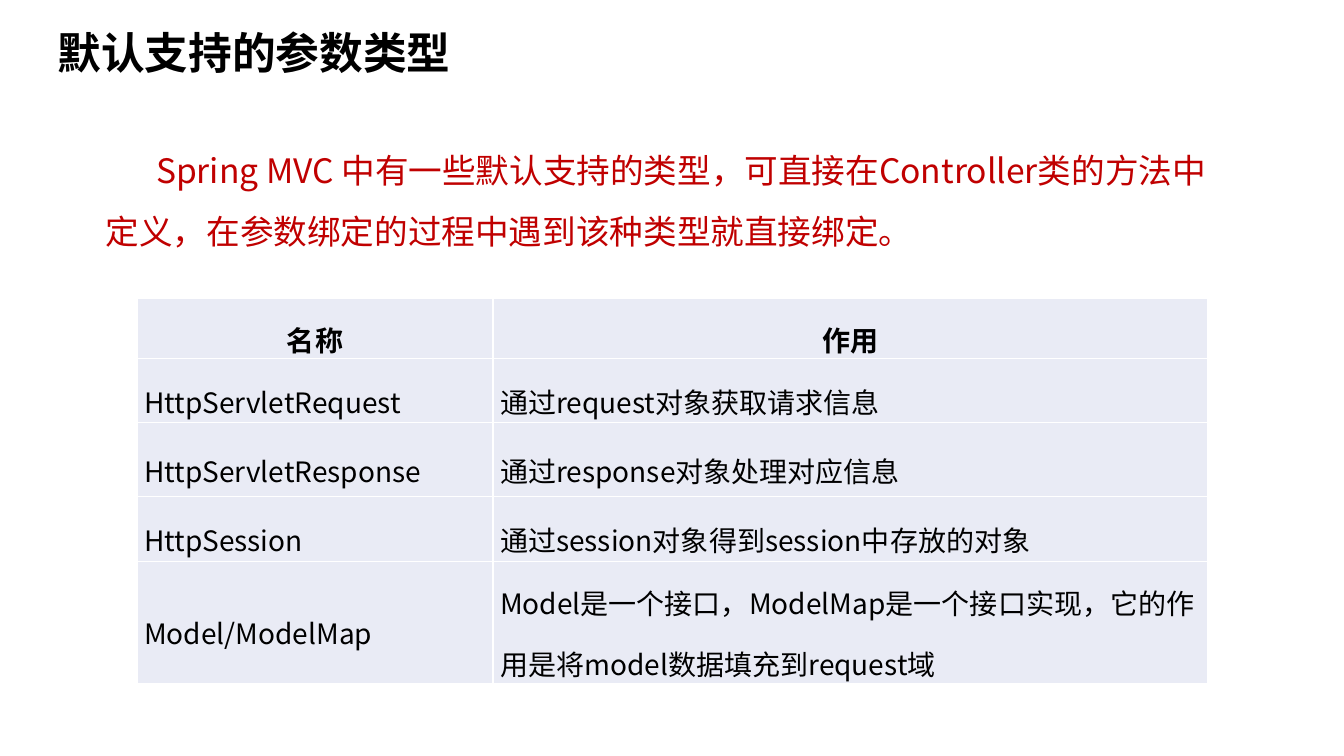
import pptx
import pptx.dml.color
import pptx.enum.text
import pptx.oxml.ns
import pptx.util
from lxml import etree

Inches = pptx.util.Inches
Pt = pptx.util.Pt
ALIGN = pptx.enum.text.PP_ALIGN
ANCHOR = pptx.enum.text.MSO_ANCHOR
qualified = pptx.oxml.ns.qn
FONT = "Noto Sans CJK SC"


def color(value):
    return pptx.dml.color.RGBColor.from_string(value)


def write(text_frame, text, size, text_color, spacing, bold=False):
    text_frame.word_wrap = True
    text_frame.text = text
    paragraph = text_frame.paragraphs[0]
    paragraph.line_spacing = spacing
    font = paragraph.runs[0].font
    font.size = Pt(size)
    font.bold = bold
    font.color.rgb = color(text_color)
    font.name = FONT
    properties = paragraph.runs[0]._r.get_or_add_rPr()
    etree.SubElement(properties, qualified("a:ea"), typeface=FONT)
    return paragraph


presentation = pptx.Presentation()
presentation.slide_width = Inches(13.33)
presentation.slide_height = Inches(7.5)
slide = presentation.slides.add_slide(presentation.slide_layouts[6])

title = slide.shapes.add_textbox(Inches(0.37), Inches(0.16), Inches(6.09), Inches(0.78))
title.text_frame.vertical_anchor = ANCHOR.MIDDLE
title.text_frame.margin_left = Inches(0.2)
write(title.text_frame, "默认支持的参数类型", 31.2, "000000", 0.9, bold=True)

introduction = slide.shapes.add_textbox(Inches(0.95), Inches(1.24), Inches(11.43), Inches(1.13))
paragraph = write(
    introduction.text_frame,
    "Spring MVC 中有一些默认支持的类型，可直接在Controller类的方法中定义，在参数绑定的过程中遇到该种类型就直接绑定。",
    24, "C00000", 1.5,
)
paragraph._p.get_or_add_pPr().set("indent", str(Inches(0.5)))

rows = [
    (0.6, "名称", "作用"),
    (0.63, "HttpServletRequest", "通过request对象获取请求信息"),
    (0.74, "HttpServletResponse", "通过response对象处理对应信息"),
    (0.64, "HttpSession", "通过session对象得到session中存放的对象"),
    (1.21, "Model/ModelMap", "Model是一个接口，ModelMap是一个接口实现，它的作用是将model数据填充到request域"),
]
table_height = sum(height for height, *texts in rows)
table = slide.shapes.add_table(
    len(rows), 2, Inches(1.36), Inches(2.96), Inches(10.62), Inches(table_height)
).table
table.horz_banding = False
for column, width in zip(table.columns, (3.53, 7.09)):
    column.width = Inches(width)

for row_index, (height, *texts) in enumerate(rows):
    table.rows[row_index].height = Inches(height)
    is_header = row_index == 0
    for column_index, text in enumerate(texts):
        cell = table.cell(row_index, column_index)
        cell.margin_left = cell.margin_right = Inches(0.07)
        cell.margin_top = cell.margin_bottom = 0
        cell.vertical_anchor = ANCHOR.TOP if is_header else ANCHOR.MIDDLE
        paragraph = write(cell.text_frame, text, 20, "000000", 1.5, bold=is_header)
        paragraph.alignment = ALIGN.CENTER if is_header else ALIGN.LEFT
        properties = cell._tc.get_or_add_tcPr()
        for side in ("lnL", "lnR", "lnT", "lnB"):
            border = etree.SubElement(properties, qualified("a:" + side), w=str(Pt(1)))
            border_fill = etree.SubElement(border, qualified("a:solidFill"))
            etree.SubElement(border_fill, qualified("a:srgbClr"), val="FFFFFF")
        cell.fill.solid()
        cell.fill.fore_color.rgb = color("E9EBF5")

presentation.save("out.pptx")
